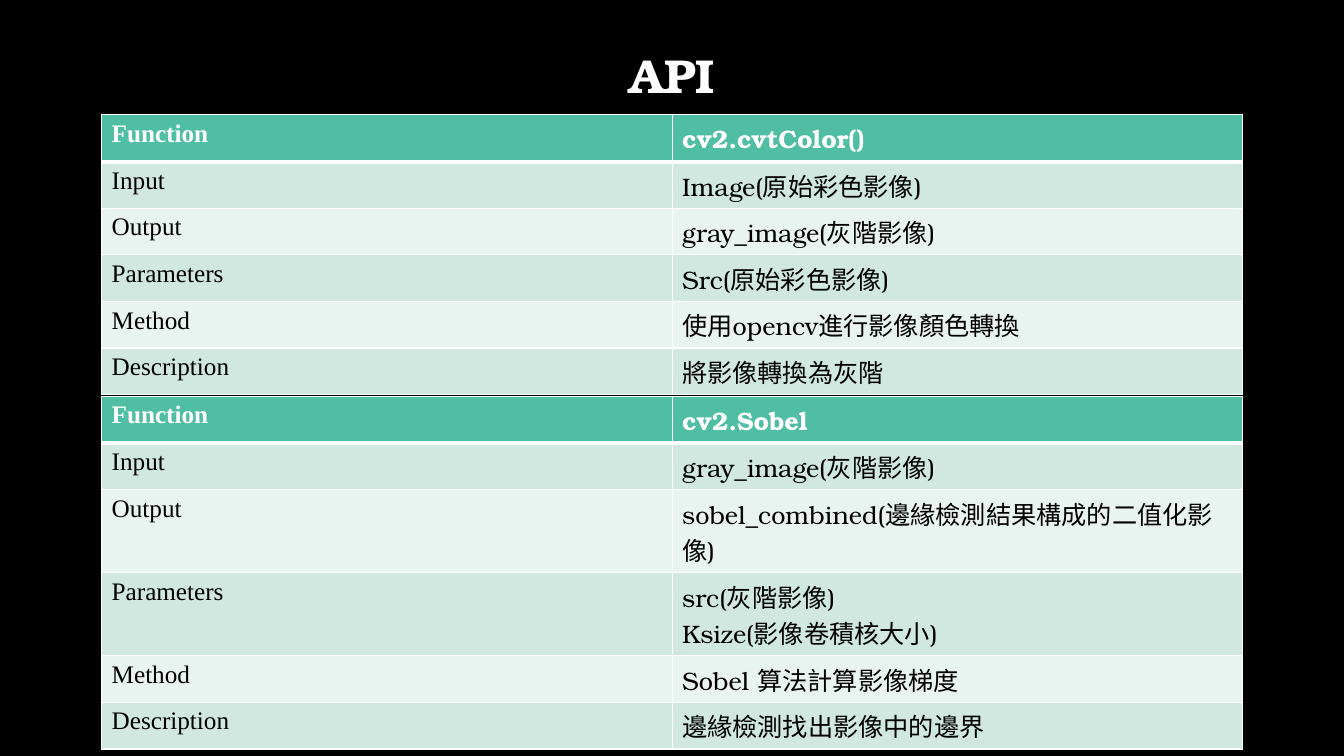
import pptx
import pptx.util
import pptx.dml.color
import pptx.enum.text
import pptx.oxml.ns
from dataclasses import dataclass
from lxml import etree

Pt = pptx.util.Pt
RGB = pptx.dml.color.RGBColor.from_string


@dataclass(frozen=True)
class Theme:
    background: str = "000000"
    light: str = "FFFFFF"
    dark: str = "000000"
    header: str = "50BEA3"
    bands: tuple = ("D0E8E0", "E9F4F0")
    title_size: float = 34
    body_size: float = 18
    display_font: str = "TeX Gyre Bonum"
    label_font: str = "Times New Roman"
    thin: float = 1
    thick: float = 3


THEME = Theme()
LABELS = ("Function", "Input", "Output", "Parameters", "Method", "Description")
CVT_COLOR = ("cv2.cvtColor()", "Image(原始彩色影像)", "gray_image(灰階影像)",
             "Src(原始彩色影像)", "使用opencv進行影像顏色轉換", "將影像轉換為灰階")
SOBEL = ("cv2.Sobel", "gray_image(灰階影像)",
         "sobel_combined(邊緣檢測結果構成的二值化影像)",
         "src(灰階影像)\nKsize(影像卷積核大小)",
         "Sobel 算法計算影像梯度", "邊緣檢測找出影像中的邊界")


def format_text(tf, color, **formats):
    for p in tf.paragraphs:
        for r in p.runs:
            r.font.color.rgb = RGB(color)
            for name, value in formats.items():
                setattr(r.font, name, value)


def set_borders(cell, widths):
    """Draw the cell edges; widths maps L, R, T and B to points."""
    tcPr = cell._tc.get_or_add_tcPr()
    qn = pptx.oxml.ns.qn
    for i, (side, width) in enumerate(widths.items()):
        ln = etree.Element(qn(f"a:ln{side}"), w=str(Pt(width)))
        fill = etree.SubElement(ln, qn("a:solidFill"))
        etree.SubElement(fill, qn("a:srgbClr"), val=THEME.light)
        tcPr.insert(i, ln)


def add_title(s, text, x, y, w, h):
    title = s.shapes.title
    box = dict(left=x, top=y, width=w, height=h)
    for name, value in box.items():
        setattr(title, name, Pt(value))
    tf = title.text_frame
    tf.text = text
    tf.vertical_anchor = pptx.enum.text.MSO_ANCHOR.MIDDLE
    p = tf.paragraphs[0]
    p.alignment = pptx.enum.text.PP_ALIGN.CENTER
    p.line_spacing = 0.9
    format_text(tf, THEME.light, size=Pt(THEME.title_size),
                name=THEME.display_font, bold=True)


def add_api_table(s, values, x, y, w, row_h):
    rows = list(zip(LABELS, values))
    frame = s.shapes.add_table(len(rows), 2, Pt(x), Pt(y), Pt(w),
                               Pt(row_h * len(rows)))
    table = frame.table
    for col in table.columns:
        col.width = Pt(w / 2)
    for i, row in enumerate(rows):
        table.rows[i].height = Pt(row_h)
        is_header = i == 0
        fill = THEME.header if is_header else THEME.bands[(i - 1) % 2]
        # The heavy rule is shared by the header and the first body row
        widths = dict(L=THEME.thin, R=THEME.thin,
                      T=THEME.thick if i == 1 else THEME.thin,
                      B=THEME.thick if is_header else THEME.thin)
        for j, font in enumerate((THEME.label_font, THEME.display_font)):
            cell = table.cell(i, j)
            cell.text = row[j]
            cell.fill.solid()
            cell.fill.fore_color.rgb = RGB(fill)
            set_borders(cell, widths)
            format_text(cell.text_frame,
                        THEME.light if is_header else THEME.dark,
                        size=Pt(THEME.body_size), name=font, bold=is_header)


def add_api_slide(prs):
    s = prs.slides.add_slide(prs.slide_layouts[5])
    s.background.fill.solid()
    s.background.fill.fore_color.rgb = RGB(THEME.background)
    x, w = 72.6, 815
    # Title
    add_title(s, "API", x, 3.6, w, 104.4)
    # One table per function
    for values, y in ((CVT_COLOR, 82), (SOBEL, 283)):
        add_api_table(s, values, x, y, w, 29.2)


def main():
    prs = pptx.Presentation()
    prs.slide_width, prs.slide_height = Pt(960), Pt(540)
    add_api_slide(prs)
    prs.save("out.pptx")


if __name__ == "__main__":
    main()
